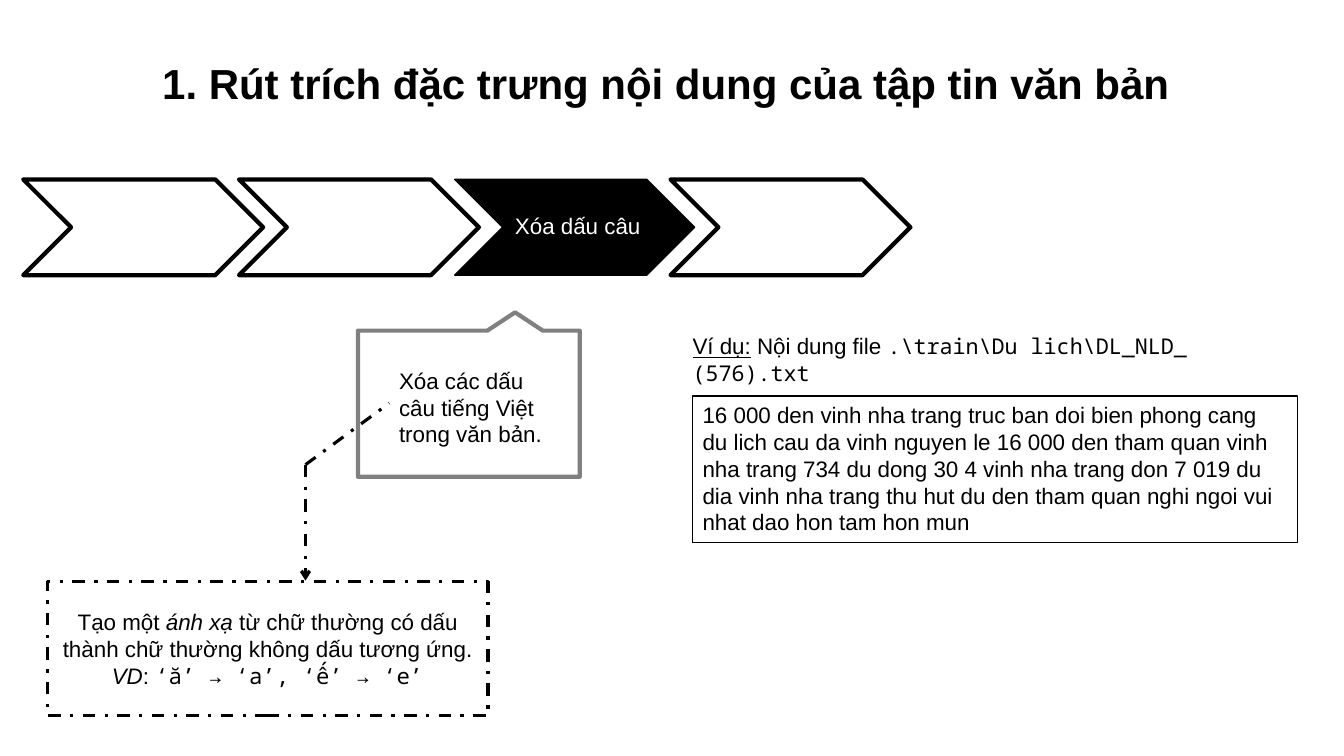
from lxml.etree import SubElement
from pptx import Presentation
from pptx.dml.color import RGBColor
from pptx.enum.dml import MSO_LINE as Dash
from pptx.enum.shapes import MSO_CONNECTOR as Link, MSO_SHAPE as Preset
from pptx.enum.text import MSO_ANCHOR as Anchor, PP_ALIGN as Align
from pptx.oxml.ns import qn
from pptx.util import Inches, Pt

# Content: a paragraph is a list of (text, run format)
THEME = {
    "black": "000000", "white": "FFFFFF", "gray": "808080",
    "sans": "Arial", "mono": "Noto Sans Mono",
    "title": 30, "body": 16, "code": 15.5,
    "thin": 1, "dash": 2.25, "thick": 3,
}
TITLE = [[("1. Rút trích đặc trưng nội dung của tập tin văn bản",
           {"size": THEME["title"], "bold": True})]]
STEPS = ["", "", "Xóa dấu câu", ""]
EXPLANATION = [[("Xóa các dấu câu tiếng Việt trong văn bản.", {})]]
EXAMPLE_LABEL = [[
    ("Ví dụ:", {"underline": True}),
    (" Nội dung file ", {}),
    (r".\train\Du lich\DL_NLD_ (576).txt",
     {"name": THEME["mono"], "size": THEME["code"]}),
]]
EXAMPLE = [[(
    "16 000 den vinh nha trang truc ban doi bien phong cang du lich cau da "
    "vinh nguyen le 16 000 den tham quan vinh nha trang 734 du dong 30 4 "
    "vinh nha trang don 7 019 du dia vinh nha trang thu hut du den tham quan "
    "nghi ngoi vui nhat dao hon tam hon mun", {})]]
MAPPING = [
    [("Tạo một ", {}), ("ánh xạ ", {"italic": True}),
     ("từ chữ thường có dấu thành chữ thường không dấu tương ứng.", {})],
    [("VD", {"italic": True}), (": ", {}),
     ("‘ă’ → ‘a’, ‘ế’ → ‘e’", {"name": THEME["mono"]})],
]

# Layout in inches
CHEVRON_LEFT, CHEVRON_TOP, CHEVRON_STEP = 0.23, 1.78, 2.14
CHEVRON_SIZE = (2.38, 0.95)
LABEL_OFFSET, LABEL_WIDTH = 0.48, 1.43
BEND = (3.03, 4.61)
LINKS = [((3.03, 5.76), True), ((3.86, 4), False)]

prs = Presentation()
prs.slide_width, prs.slide_height = Inches(13.33), Inches(7.5)
slide = prs.slides.add_slide(prs.slide_layouts[6])


def color(key):
    return RGBColor.from_string(THEME[key])


def write(holder, paragraphs, ink="black", align=Align.LEFT, spacing=1.0, **frame_format):
    frame = holder.text_frame
    for key, value in {"word_wrap": True, **frame_format}.items():
        setattr(frame, key, value)
    for i, runs in enumerate(paragraphs):
        paragraph = frame.add_paragraph() if i else frame.paragraphs[0]
        paragraph.alignment, paragraph.line_spacing = align, spacing
        for text, run_format in runs:
            run = paragraph.add_run()
            run.text = text
            run.font.color.rgb = color(ink)
            values = {"name": THEME["sans"], "size": THEME["body"], **run_format}
            values["size"] = Pt(values["size"])
            for key, value in values.items():
                setattr(run.font, key, value)


def add_text(box, paragraphs, **options):
    write(slide.shapes.add_textbox(*map(Inches, box)), paragraphs, **options)


def style_line(line, ink, width, dash=None):
    line.color.rgb, line.width = color(ink), Pt(THEME[width])
    if dash:
        line.dash_style = dash


def add_block(preset, box, fill="white", ink="black", width="thin", dash=None):
    block = slide.shapes.add_shape(preset, *map(Inches, box))
    block.shadow.inherit = False
    block.fill.solid()
    block.fill.fore_color.rgb = color(fill)
    style_line(block.line, ink, width, dash)
    return block


# Title
add_text((1.51, 0.52, 10.31, 0.61), TITLE, word_wrap=False)

# Process steps: the labelled one is the current step
for i, step in enumerate(STEPS):
    left = CHEVRON_LEFT + i * CHEVRON_STEP
    add_block(Preset.CHEVRON, (left, CHEVRON_TOP, *CHEVRON_SIZE),
              fill="black" if step else "white", width="thin" if step else "thick")
    if step:
        add_text((left + LABEL_OFFSET, CHEVRON_TOP, LABEL_WIDTH, CHEVRON_SIZE[1]),
                 [[(step, {})]], ink="white", align=Align.CENTER, spacing=0.9,
                 vertical_anchor=Anchor.MIDDLE, margin_left=Inches(0.07),
                 margin_right=Inches(0.02), margin_top=Inches(0.02),
                 margin_bottom=Inches(0.02))

# Example file
add_text((6.77, 3.25, 6.09, 0.37), EXAMPLE_LABEL)
example = add_block(Preset.RECTANGLE, (6.87, 3.93, 6, 1.45))
write(example, EXAMPLE, vertical_anchor=Anchor.TOP)

# Explanation callout, pointing up at the current step
callout = add_block(Preset.RECTANGULAR_CALLOUT, (3.55, 3.28, 2.2, 1.45),
                    ink="gray", width="thick")
callout.rotation = 180
add_text((3.86, 3.59, 1.7, 0.62), EXPLANATION)

# Mapping note and its bent arrow
mapping = add_block(Preset.RECTANGLE, (0.47, 5.77, 4.37, 1.33),
                    width="dash", dash=Dash.DASH_DOT)
write(mapping, MAPPING, align=Align.CENTER, vertical_anchor=Anchor.MIDDLE)
for end, has_arrow in LINKS:
    link = slide.shapes.add_connector(Link.STRAIGHT, *map(Inches, BEND + end))
    style_line(link.line, "black", "dash", Dash.DASH_DOT)
    properties = link._element.spPr
    if has_arrow:
        SubElement(properties.find(qn("a:ln")), qn("a:tailEnd"), type="arrow")
    SubElement(properties, qn("a:effectLst"))

prs.save("out.pptx")
